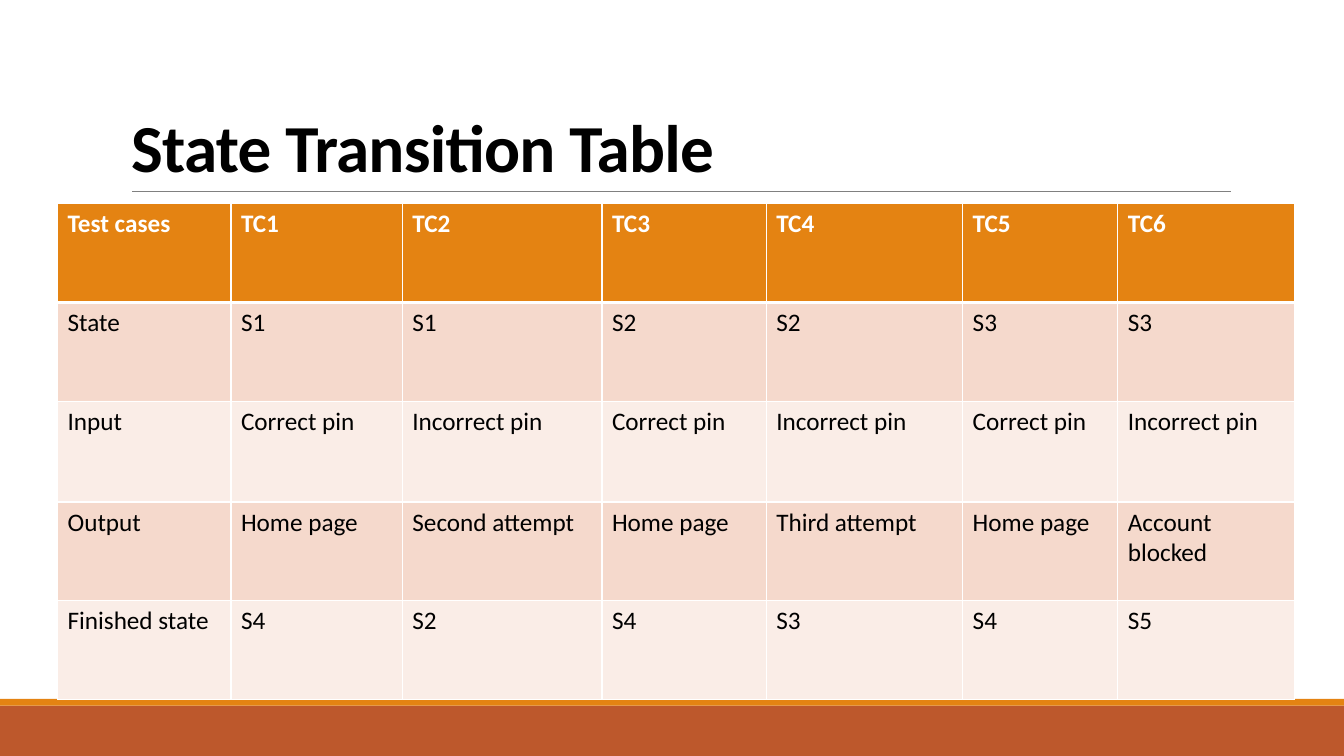
from dataclasses import dataclass

from lxml import etree
from pptx import Presentation
from pptx.dml.color import RGBColor
from pptx.enum.shapes import MSO_CONNECTOR, MSO_SHAPE
from pptx.enum.text import MSO_ANCHOR, MSO_AUTO_SIZE, PP_ALIGN
from pptx.oxml.ns import qn
from pptx.util import Cm, Pt

RECT, STRAIGHT = MSO_SHAPE.RECTANGLE, MSO_CONNECTOR.STRAIGHT
LEFT, BOTTOM, NO_FIT = PP_ALIGN.LEFT, MSO_ANCHOR.BOTTOM, MSO_AUTO_SIZE.NONE
TITLE_ONLY = 5


@dataclass(frozen=True)
class Theme:
    font: str = "Calibri"
    title_size: int = 48
    cell_size: int = 18
    text: str = "000000"
    white: str = "FFFFFF"
    accent: str = "E48312"
    footer: str = "BD582C"
    rule: str = "808080"
    bands: tuple = ("F5D9CC", "FAEDE7")


THEME = Theme()
SLIDE_W, SLIDE_H = 33.87, 19.05
COLUMN_WIDTHS = [4.37, 4.32, 5.03, 4.14, 4.95, 3.91, 4.45]
ROW_HEIGHTS = [2.49, 2.49, 2.54, 2.49, 2.49]
ROWS = [
    ["Test cases", "TC1", "TC2", "TC3", "TC4", "TC5", "TC6"],
    ["State", "S1", "S1", "S2", "S2", "S3", "S3"],
    ["Input"] + ["Correct pin", "Incorrect pin"] * 3,
    ["Output", "Home page", "Second attempt", "Home page", "Third attempt",
     "Home page", "Account blocked"],
    ["Finished state", "S4", "S2", "S4", "S3", "S4", "S5"],
]


def rgb(color):
    return RGBColor.from_string(color)


def write(tf, text, size=THEME.cell_size, color=THEME.text, bold=False,
          line_spacing=None, tracking=None):
    p = tf.paragraphs[0]
    p.alignment = LEFT
    if line_spacing:
        p.line_spacing = line_spacing
    r = p.add_run()
    r.text = text
    r.font.name, r.font.size, r.font.bold = THEME.font, Pt(size), bold
    r.font.color.rgb = rgb(color)
    if tracking:
        r.font._element.set("spc", str(int(tracking * 100)))


def add_bar(slide, x, y, w, h, color):
    sp = slide.shapes.add_shape(RECT, Cm(x), Cm(y), Cm(w), Cm(h))
    sp.shadow.inherit = False
    sp.fill.solid()
    sp.fill.fore_color.rgb = rgb(color)
    sp.line.fill.background()


def add_footer(slide, x, y, w, h):
    strip = 0.17
    add_bar(slide, x, y + strip, w, h - strip, THEME.footer)
    add_bar(slide, x, y, w, strip, THEME.accent)


def add_title(slide, text, x, y, w, h):
    sp = slide.shapes.title
    sp.left, sp.top, sp.width, sp.height = Cm(x), Cm(y), Cm(w), Cm(h)
    tf = sp.text_frame
    tf.word_wrap, tf.auto_size, tf.vertical_anchor = True, NO_FIT, BOTTOM
    write(tf, text, size=THEME.title_size, bold=True, line_spacing=0.85,
          tracking=-0.5)
    # Rule under the title
    rule_x, rule_y = x + 0.28, y + h
    line = slide.shapes.add_connector(
        STRAIGHT, Cm(rule_x), Cm(rule_y), Cm(rule_x + 27.68), Cm(rule_y))
    line.line.color.rgb = rgb(THEME.rule)
    line.line.width = Pt(0.5)
    etree.SubElement(line._element.spPr, qn("a:effectLst"))


def set_border(cell, side, width):
    ln = etree.SubElement(cell._tc.get_or_add_tcPr(), qn(f"a:ln{side}"),
                          w=str(Pt(width)))
    fill = etree.SubElement(ln, qn("a:solidFill"))
    etree.SubElement(fill, qn("a:srgbClr"), val=THEME.white)


def format_cell(cell, text, row):
    header = row == 0
    for side in "LRTB":
        header_edge = (row, side) in ((0, "B"), (1, "T"))
        set_border(cell, side, 3 if header_edge else 1)
    cell.fill.solid()
    cell.fill.fore_color.rgb = rgb(
        THEME.accent if header else THEME.bands[(row - 1) % 2])
    write(cell.text_frame, text, bold=header,
          color=THEME.white if header else THEME.text)


def add_state_table(slide, x, y):
    table = slide.shapes.add_table(
        len(ROWS), len(COLUMN_WIDTHS), Cm(x), Cm(y),
        Cm(sum(COLUMN_WIDTHS)), Cm(sum(ROW_HEIGHTS))).table
    for column, width in zip(table.columns, COLUMN_WIDTHS):
        column.width = Cm(width)
    for i, (height, texts) in enumerate(zip(ROW_HEIGHTS, ROWS)):
        table.rows[i].height = Cm(height)
        for j, text in enumerate(texts):
            format_cell(table.cell(i, j), text, i)


def main():
    prs = Presentation()
    prs.slide_width, prs.slide_height = Cm(SLIDE_W), Cm(SLIDE_H)
    slide = prs.slides.add_slide(prs.slide_layouts[TITLE_ONLY])
    footer_h = 1.44
    add_footer(slide, 0, SLIDE_H - footer_h, SLIDE_W, footer_h)
    add_title(slide, "State Transition Table", 3.05, 2.26, 27.94, 2.57)
    add_state_table(slide, 1.45, 5.13)
    prs.save("out.pptx")


if __name__ == "__main__":
    main()
